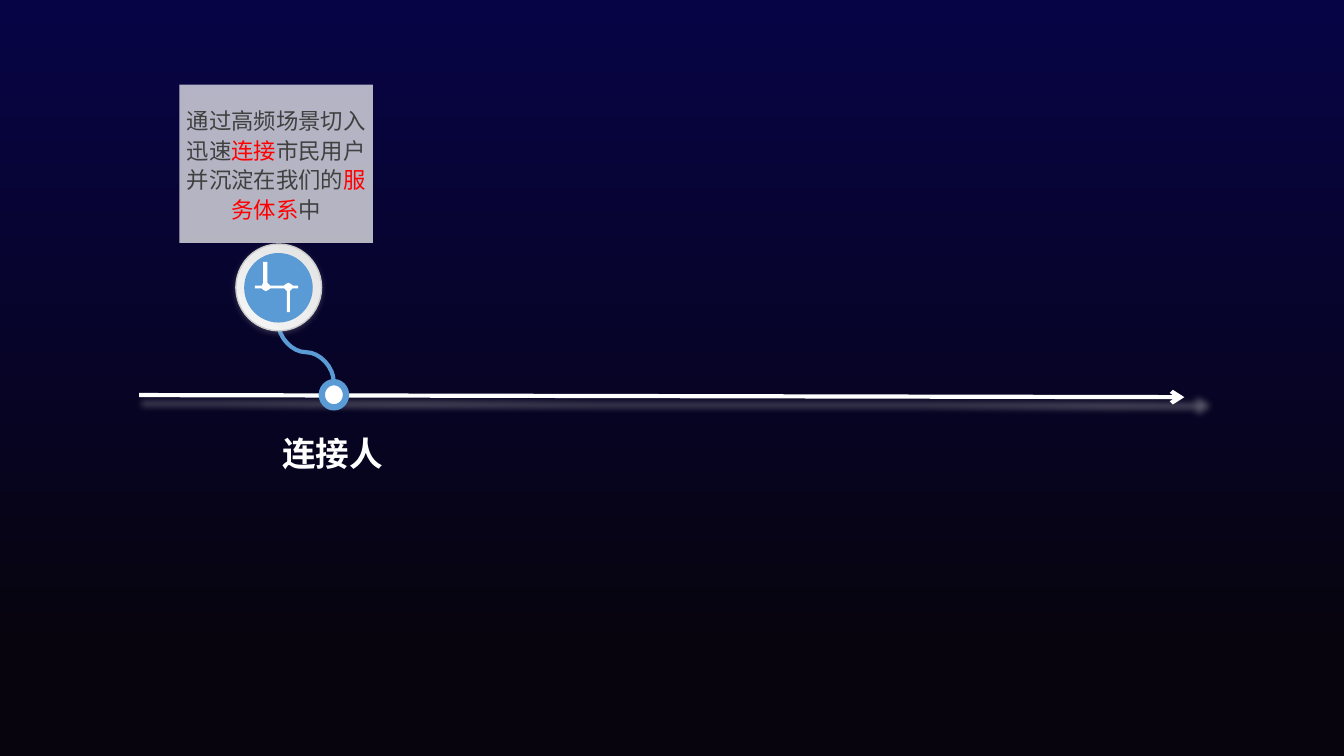
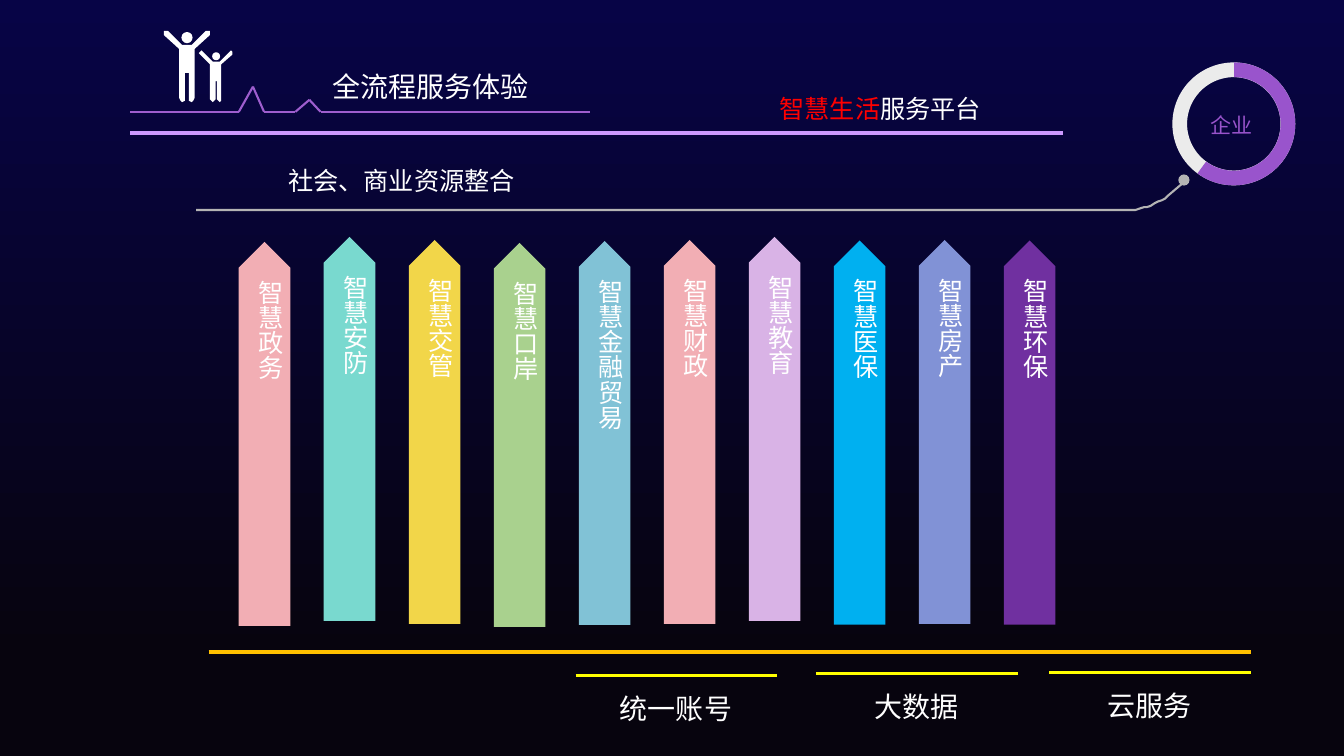
from dataclasses import dataclass
from typing import Any, NamedTuple, Optional

import pptx
import pptx.dml.color
import pptx.enum.dml
import pptx.enum.shapes
import pptx.enum.text
import pptx.oxml
import pptx.oxml.ns
import pptx.util
from lxml import etree

Pt = pptx.util.Pt
qn = pptx.oxml.ns.qn
RGBColor = pptx.dml.color.RGBColor
MSO_SHAPE = pptx.enum.shapes.MSO_SHAPE
MSO_CONNECTOR = pptx.enum.shapes.MSO_CONNECTOR
PP_ALIGN = pptx.enum.text.PP_ALIGN
MSO_ANCHOR = pptx.enum.text.MSO_ANCHOR
MSO_AUTO_SIZE = pptx.enum.text.MSO_AUTO_SIZE

# Shared colours and font
NAVY = RGBColor(0x07, 0x04, 0x46)
NIGHT = RGBColor(0x07, 0x04, 0x0E)
WHITE = RGBColor(0xFF, 0xFF, 0xFF)
DARK = RGBColor(0x40, 0x40, 0x40)
RED = RGBColor(0xFF, 0x00, 0x00)
BLUE = RGBColor(0x5B, 0x9B, 0xD5)
RING_DARK = RGBColor(0xE4, 0xE4, 0xE4)
RING_LIGHT = RGBColor(0xF5, 0xF5, 0xF5)
SILVER = RGBColor(0xCC, 0xCC, 0xCC)
SHADE = RGBColor(0xBF, 0xBF, 0xBF)
GREY = RGBColor(0xB4, 0xB4, 0xB4)
PALE = RGBColor(0xEB, 0xEB, 0xEB)
PULSE = RGBColor(0x9E, 0x5E, 0xCE)
LILAC = RGBColor(0xCC, 0x99, 0xFF)
VIOLET = RGBColor(0x99, 0x54, 0xCC)
ORANGE = RGBColor(0xFF, 0xC0, 0x00)
YELLOW = RGBColor(0xFF, 0xFF, 0x00)
PINK = RGBColor(0xF2, 0xAE, 0xB4)
MINT = RGBColor(0x79, 0xD9, 0xCF)
GOLD = RGBColor(0xF2, 0xD6, 0x49)
GREEN = RGBColor(0xA9, 0xD1, 0x8E)
TEAL = RGBColor(0x81, 0xC2, 0xD6)
MAUVE = RGBColor(0xD9, 0xB3, 0xE6)
SKY = RGBColor(0x00, 0xB0, 0xF0)
PERIWINKLE = RGBColor(0x81, 0x92, 0xD6)
PURPLE = RGBColor(0x70, 0x30, 0xA0)
FONT = "Noto Sans CJK SC"

Point = tuple[float, float]
Box = tuple[float, float, float, float]


class Run(NamedTuple):
    text: str
    color: RGBColor = WHITE


class Shadow(NamedTuple):
    color: RGBColor
    alpha: int
    blur: float
    dist: float = 0
    angle: int = 0
    scale: int = 100


@dataclass
class Pillar:
    text: str
    color: RGBColor
    top: float


@dataclass
class Foundation:
    text: str
    left: float
    y: float


PILLARS = [
    Pillar("智慧政务", PINK, 172.8), Pillar("智慧安防", MINT, 169.2),
    Pillar("智慧交管", GOLD, 171.4), Pillar("智慧口岸", GREEN, 173.5),
    Pillar("智慧金融贸易", TEAL, 172.1), Pillar("智慧财政", PINK, 171.4),
    Pillar("智慧教育", MAUVE, 169.2), Pillar("智慧医保", SKY, 171.8),
    Pillar("智慧房产", PERIWINKLE, 171.4), Pillar("智慧环保", PURPLE, 171.8),
]
FOUNDATIONS = [
    Foundation("统一账号", 411.1, 482.4),
    Foundation("大数据", 583.2, 481),
    Foundation("云服务", 749.5, 480.2),
]
PULSE_POINTS = [(92.9, 79.9), (170.6, 79.9), (180.7, 61.9), (188.6, 79.9),
                (211, 79.9), (221, 71.3), (229, 79.9), (421.2, 79.9)]
# Right half of a figure with raised arms, from neck to crotch
FIGURE_HALF = [(0, 10.8), (3.2, 10.8), (13.3, 0.8), (14.8, 0.1), (16.2, 0.8),
               (16.9, 2.2), (16.2, 3.6), (5.5, 13.7), (5.5, 49), (4.8, 50.6),
               (3.3, 51.2), (1.8, 50.6), (1.1, 49), (1.1, 30.2), (0, 30.2)]
# Upper half of the link icon; the lower half is its half-turn
LINK_HALF = [(-15.5, -1.4), (-11, -1.4), (-9.4, -2.7), (-9.4, -18), (-7, -18),
             (-7, -2.7), (-5, -1.4), (5, -1.4), (6, -2.4), (8.1, -3),
             (10, -2.4), (11, -1.4), (15.5, -1.4)]


def apply(obj: Any, values: dict[str, Any]) -> None:
    for name, value in values.items():
        setattr(obj, name, value)


def add_shadow(sp: Any, sh: Shadow) -> None:
    values = {"blurRad": Pt(sh.blur), "dist": Pt(sh.dist), "dir": sh.angle * 60000,
              "sx": sh.scale * 1000, "sy": sh.scale * 1000,
              "algn": "ctr", "rotWithShape": 0}
    outer = etree.SubElement(sp.element.spPr.find(qn("a:effectLst")), qn("a:outerShdw"))
    for name, value in values.items():
        outer.set(name, str(value))
    clr = etree.SubElement(outer, qn("a:srgbClr"), val=str(sh.color))
    etree.SubElement(clr, qn("a:alpha"), val=str(sh.alpha * 1000))


def set_gradient(fill: Any, stops: list[tuple[float, RGBColor]], angle: float) -> None:
    fill.gradient()
    fill.gradient_angle = 360 - angle
    for stop, (position, color) in zip(fill.gradient_stops, stops):
        stop.position = position
        stop.color.rgb = color


def paint(sp: Any, fill: Optional[RGBColor], line: Optional[RGBColor] = None,
          width: float = 1) -> Any:
    sp.shadow.inherit = False
    if fill is None:
        sp.fill.background()
    else:
        sp.fill.solid()
        sp.fill.fore_color.rgb = fill
    if line is None:
        sp.line.fill.background()
    else:
        sp.line.color.rgb = line
        sp.line.width = Pt(width)
    return sp


def add_shape(s: Any, kind: Any, box: Box, fill: RGBColor,
              line: Optional[RGBColor] = None, width: float = 1) -> Any:
    return paint(s.shapes.add_shape(kind, *map(Pt, box)), fill, line, width)


def add_line(s: Any, start: Point, end: Point, color: RGBColor, width: float,
             kind: Any = MSO_CONNECTOR.STRAIGHT) -> Any:
    c = s.shapes.add_connector(kind, *map(Pt, start + end))
    c.line.color.rgb = color
    c.line.width = Pt(width)
    etree.SubElement(c.element.spPr, qn("a:effectLst"))
    return c


def add_outline(s: Any, points: list[Point], close: bool = True) -> Any:
    builder = s.shapes.build_freeform(*points[0], scale=float(Pt(1)))
    builder.add_line_segments(points[1:], close=close)
    return builder.convert_to_shape()


def write(sp: Any, paragraphs: list[list[Run]], size: float,
          align: Any = PP_ALIGN.CENTER, spacing: float = 1, bold: bool = False,
          font: str = FONT, **frame: Any) -> None:
    tf = sp.text_frame
    apply(tf, {"word_wrap": True} | frame)
    for i, runs in enumerate(paragraphs):
        p = tf.add_paragraph() if i else tf.paragraphs[0]
        apply(p, {"alignment": align, "line_spacing": spacing})
        for run in runs:
            r = p.add_run()
            r.text = run.text
            apply(r.font, {"size": Pt(size), "bold": bold, "name": font})
            r.font.color.rgb = run.color
            etree.SubElement(r.font._element, qn("a:ea"), typeface=FONT)


def add_text(s: Any, box: Box, runs: list[Run], size: float, **options: Any) -> Any:
    sp = s.shapes.add_textbox(*map(Pt, box))
    options = {"auto_size": MSO_AUTO_SIZE.SHAPE_TO_FIT_TEXT} | options
    write(sp, [runs], size, **options)
    return sp


def bezier(a: Point, b: Point, c: Point, d: Point, steps: int = 12) -> list[Point]:
    ts = [i / steps for i in range(steps + 1)]
    return [tuple((1 - t) ** 3 * w + 3 * t * (1 - t) ** 2 * x + 3 * t * t * (1 - t) * y
                  + t ** 3 * z for w, x, y, z in zip(a, b, c, d)) for t in ts]


def add_figure(s: Any, x: float, top: float, scale: float) -> None:
    half = FIGURE_HALF + [(-dx, dy) for dx, dy in FIGURE_HALF[-2:0:-1]]
    paint(add_outline(s, [(x + dx * scale, top + dy * scale) for dx, dy in half]), WHITE)
    d = 8 * scale
    add_shape(s, MSO_SHAPE.OVAL, (x - d / 2, top + 1.5 * scale, d, d), WHITE)


def add_pillar(s: Any, index: int, pillar: Pillar) -> None:
    length, breadth = 274.3, 36.9
    x = 189 + index * 60.72
    middle = pillar.top + length / 2
    sp = add_shape(s, MSO_SHAPE.PENTAGON,
                   (x - length / 2, middle - breadth / 2, length, breadth), pillar.color)
    sp.rotation = 270
    sp = add_text(s, (x - 17.6, pillar.top + 20.2, 36, 233.3), [Run(pillar.text)], 18)
    sp.text_frame._txBody.bodyPr.set("vert", "eaVert")


def build_timeline(prs: Any) -> None:
    s = prs.slides.add_slide(prs.slide_layouts[6])
    # Time axis and its node
    axis = add_line(s, (99.4, 282.2), (846, 283.7), WHITE, 3)
    etree.SubElement(axis.line._get_or_add_ln(), qn("a:tailEnd"), type="arrow")
    add_shadow(axis, Shadow(SHADE, 43, 5, scale=102))
    add_shape(s, MSO_SHAPE.OVAL, (229.9, 273, 17.3, 18), WHITE, BLUE, 4.5)
    # Curved link, turned so that it leaves downwards
    link = add_line(s, (197.3, 231.8), (239.8, 271.4), BLUE, 3, MSO_CONNECTOR.CURVE)
    xfrm = link.element.spPr.find(qn("a:xfrm"))
    xfrm.set("rot", str(270 * 60000))
    xfrm.set("flipH", "1")
    # Badge
    ring = add_shape(s, MSO_SHAPE.OVAL, (168.5, 174.3, 61.2, 62), WHITE, SILVER)
    set_gradient(ring.fill, [(0, RING_DARK), (1, RING_LIGHT)], 130)
    add_shadow(ring, Shadow(SILVER, 22, 4, 1, 90))
    add_shape(s, MSO_SHAPE.OVAL, (174.4, 180.7, 49, 49.7), BLUE)
    # Message card
    card = add_shape(s, MSO_SHAPE.RECTANGLE, (128.2, 60.5, 138.2, 113), WHITE)
    etree.SubElement(card.element.spPr.find(".//" + qn("a:srgbClr")),
                     qn("a:alpha"), val="70000")
    write(card, [
        [Run("通过高频场景切入", DARK)],
        [Run("迅速", DARK), Run("连接", RED), Run("市民用户", DARK)],
        [Run("并沉淀在我们的", DARK), Run("服务体系", RED), Run("中", DARK)],
    ], 16, spacing=1.1, vertical_anchor=MSO_ANCHOR.MIDDLE,
        margin_left=0, margin_right=0, margin_top=0, margin_bottom=0)
    # Link icon
    points = LINK_HALF + [(-x, -y) for x, y in LINK_HALF]
    paint(add_outline(s, [(197.7 + x, 205 + y) for x, y in points]), WHITE)
    add_text(s, (144, 300.2, 187.2, 46.8), [Run("连接人")], 24, bold=True,
             auto_size=MSO_AUTO_SIZE.NONE, vertical_anchor=MSO_ANCHOR.MIDDLE)


def build_platform(prs: Any) -> None:
    s = prs.slides.add_slide(prs.slide_layouts[6])
    # Foundations
    add_line(s, (149, 465.8), (893.5, 465.8), ORANGE, 3)
    for f in FOUNDATIONS:
        add_line(s, (f.left, f.y), (f.left + 144, f.y), YELLOW, 2.25)
        add_text(s, (f.left - 14.2, f.y + 11, 172, 28.8), [Run(f.text)], 20, spacing=0.9)
    # Experience band
    for start, end in zip(PULSE_POINTS, PULSE_POINTS[1:]):
        add_line(s, start, end, PULSE, 1.5)
    add_line(s, (92.9, 95), (759.6, 95), LILAC, 2.25)
    add_text(s, (230.4, 49, 357, 28.8), [Run("全流程服务体验")], 20,
             align=PP_ALIGN.LEFT, spacing=0.9)
    # Pillars
    for i, pillar in enumerate(PILLARS):
        add_pillar(s, i, pillar)
    add_text(s, (547.2, 63.4, 160.6, 28.8), [Run("智慧生活", RED), Run("服务平台")], 18,
             align=PP_ALIGN.RIGHT)
    # Resource line leading to the enterprise ring
    bend = bezier((802.8, 150.5), (812.9, 150.5), (826.6, 146.2), (833.8, 140))
    paint(add_outline(s, [(139.7, 150.5), *bend, (846.7, 129.2)], close=False),
          None, GREY, 1.5)
    add_shape(s, MSO_SHAPE.OVAL, (841.7, 124.6, 8, 8), GREY)
    ring = (837.4, 44.6, 87.8, 87.8)
    add_shape(s, MSO_SHAPE.DONUT, ring, PALE).adjustments[0] = 0.12
    arc = add_shape(s, MSO_SHAPE.BLOCK_ARC, ring, VIOLET)
    for i, value in enumerate((162.172, 75.761, 0.119)):
        arc.adjustments[i] = value
    add_text(s, (843.1, 74.2, 72.7, 30.2), [Run("企业", VIOLET)], 15, font="Arial",
             auto_size=MSO_AUTO_SIZE.NONE, word_wrap=False,
             vertical_anchor=MSO_ANCHOR.MIDDLE)
    # Citizens
    add_figure(s, 154.4, 36.3, 0.71)
    add_figure(s, 133.6, 21.4, 1)
    add_text(s, (198.7, 114.5, 296.6, 28.8), [Run("社会、商业资源整合")], 18,
             align=PP_ALIGN.LEFT)


def main() -> None:
    prs = pptx.Presentation()
    apply(prs, {"slide_width": Pt(960), "slide_height": Pt(540)})
    # Shared background
    set_gradient(prs.slide_master.background.fill, [(0, NAVY), (0.87, NIGHT)], 90)
    build_timeline(prs)
    build_platform(prs)
    prs.save("out.pptx")


if __name__ == "__main__":
    main()
